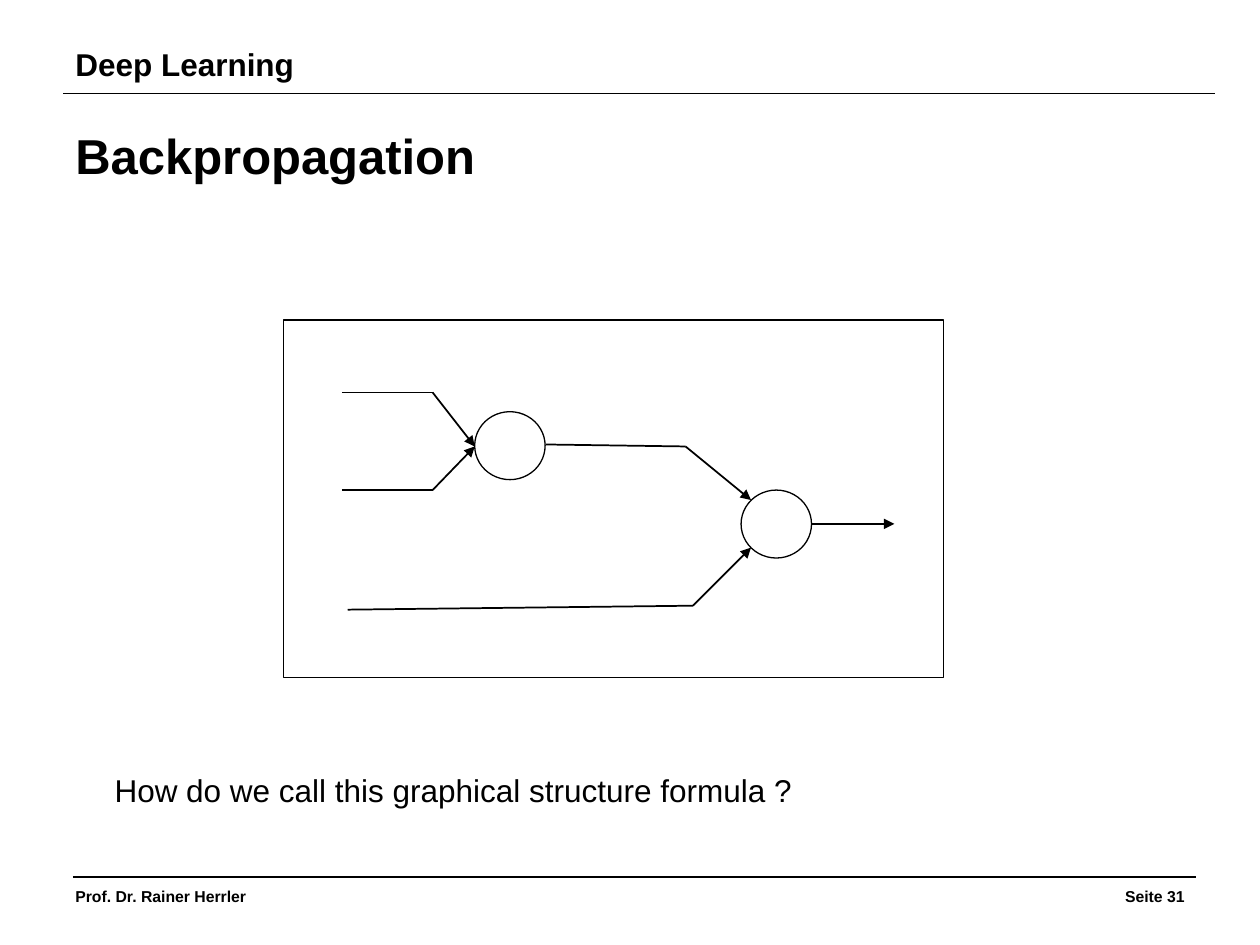
import pptx
import pptx.util
import pptx.dml.color
import pptx.enum.shapes
import pptx.enum.text
import lxml.etree
import pptx.oxml.ns

Cm = pptx.util.Cm
Pt = pptx.util.Pt
Kind = pptx.enum.shapes.MSO_SHAPE
Align = pptx.enum.text.PP_ALIGN
HUES = {"ink": "000000", "paper": "FFFFFF"}


class Page:
    def __init__(self, deck, font="Arial"):
        self.slide = deck.slides.add_slide(deck.slide_layouts[6])
        self.shapes = self.slide.shapes
        self.font = font

    def hue(self, name):
        return pptx.dml.color.RGBColor.from_string(HUES[name])

    def text(self, words, left, top, width, height, size,
             bold=False, align=Align.LEFT, wrap=True):
        box = self.shapes.add_textbox(Cm(left), Cm(top), Cm(width), Cm(height))
        frame = box.text_frame
        frame.word_wrap = wrap
        para = frame.paragraphs[0]
        para.text = words
        para.alignment = align
        para.font.name = self.font
        para.font.size = Pt(size)
        para.font.bold = bold
        para.font.color.rgb = self.hue("ink")

    def shape(self, kind, left, top, width, height, fill=None):
        item = self.shapes.add_shape(
            kind, Cm(left), Cm(top), Cm(width), Cm(height))
        item.shadow.inherit = False
        if fill:
            item.fill.solid()
            item.fill.fore_color.rgb = self.hue(fill)
        else:
            item.fill.background()
        item.line.color.rgb = self.hue("ink")
        item.line.width = Pt(0.75)

    def line(self, start, end, width=1, arrow=False):
        item = self.shapes.add_connector(
            pptx.enum.shapes.MSO_CONNECTOR.STRAIGHT,
            *(Cm(value) for value in (*start, *end)))
        item.line.color.rgb = self.hue("ink")
        item.line.width = Pt(width)
        qn = pptx.oxml.ns.qn
        if arrow:
            lxml.etree.SubElement(
                item.line._get_or_add_ln(), qn("a:tailEnd"), type="triangle")
        lxml.etree.SubElement(item._element.spPr, qn("a:effectLst"))

    def route(self, *points):
        """Draw straight pieces through the points, with an arrow on the last."""
        for step in range(1, len(points)):
            self.line(points[step - 1], points[step],
                      arrow=step == len(points) - 1)


def main():
    deck = pptx.Presentation()
    deck.slide_width, deck.slide_height = Cm(25.4), Cm(19.05)
    page = Page(deck)

    # Header and footer
    page.line((1.27, 1.88), (24.49, 1.88), 0.75)
    page.text("Deep Learning", 1.27, 0.79, 22.38, 1.02, 18, bold=True)
    page.line((1.47, 17.68), (24.1, 17.68), 0.75)
    page.text("Prof. Dr. Rainer Herrler", 1.27, 17.75, 6.55, 0.64, 9, bold=True)
    page.text("Seite 31", 17.58, 17.75, 6.55, 0.64, 9,
              bold=True, align=Align.RIGHT)

    # Graph of two nodes
    page.shape(Kind.RECTANGLE, 5.72, 6.45, 13.3, 7.21)
    for left, top in ((9.57, 8.3), (14.94, 9.88)):
        page.shape(Kind.OVAL, left, top, 1.42, 1.37, "paper")
    for height in (7.91, 9.88):
        page.route((6.89, height), (8.72, height), (9.57, 9))
    page.route((11, 8.96), (13.82, 9), (15.14, 10.08))
    page.route((7.01, 12.29), (13.97, 12.21), (15.14, 11.04))
    page.route((16.36, 10.56), (18.03, 10.56))

    # Title and question
    page.text("Backpropagation", 1.27, 2.41, 20.85, 1.37, 28, bold=True)
    page.text("How do we call this graphical structure formula ?",
              2.06, 15.42, 14.3, 1.02, 18, wrap=False)

    deck.save("out.pptx")


if __name__ == "__main__":
    main()
